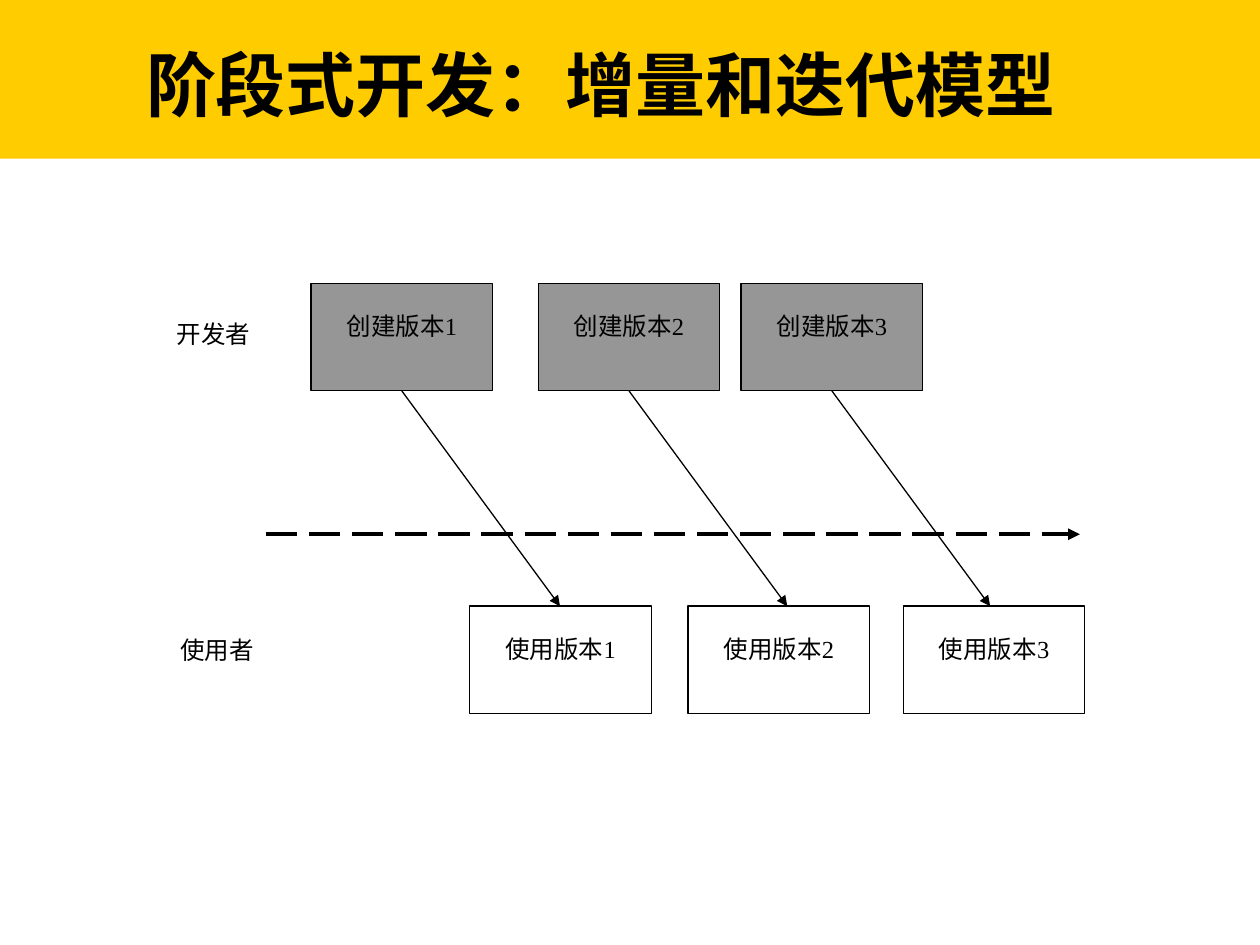
from dataclasses import dataclass

from lxml import etree
from pptx import Presentation
from pptx import util as u
from pptx.dml.color import RGBColor
from pptx.enum import dml, lang, shapes, text
from pptx.oxml.ns import qn

FONT = "Times New Roman"
BLACK, WHITE, GREY, YELLOW = "000000", "FFFFFF", "969696", "FFCC00"
BOX_WIDTH, BOX_HEIGHT = 3.66, 2.16
CREATE_TOP, USE_TOP = 5.72, 12.22
ARROW_SHIFT = 3.19


@dataclass
class Version:
    """One release; lefts are in centimetres."""
    number: int
    create_left: float
    use_left: float


@dataclass
class RoleLabel:
    name: str
    left: float
    top: float


VERSIONS = [
    Version(1, 6.27, 9.47),
    Version(2, 10.85, 13.87),
    Version(3, 14.94, 18.21),
]
ROLES = [RoleLabel("开发者", 3.56, 6.43), RoleLabel("使用者", 3.63, 12.8)]


def colour(value: str) -> RGBColor:
    return RGBColor.from_string(value)


def add_run(para, words: str, size: float, bold: bool = False) -> None:
    span = para.add_run()
    span.text = words
    span.font.name = FONT
    span.font.size = u.Pt(size)
    span.font.bold = bold
    span.font.color.rgb = colour(BLACK)
    span.font.language_id = lang.MSO_LANGUAGE_ID.SIMPLIFIED_CHINESE


def add_box(page, left: float, top: float, width: float, height: float,
            fill: str, outlined: bool = False):
    box = page.shapes.add_shape(shapes.MSO_SHAPE.RECTANGLE, u.Cm(left),
                                u.Cm(top), u.Cm(width), u.Cm(height))
    box.shadow.inherit = False
    box.fill.solid()
    box.fill.fore_color.rgb = colour(fill)
    if outlined:
        box.line.color.rgb = colour(BLACK)
        box.line.width = u.Pt(0.75)
    else:
        box.line.fill.background()
    return box


def write_in_box(box, words: str, align, top_inset: float = 0) -> None:
    frame = box.text_frame
    frame.word_wrap = True
    frame.vertical_anchor = text.MSO_ANCHOR.TOP
    frame.margin_left = frame.margin_right = frame.margin_bottom = 0
    frame.margin_top = u.Cm(top_inset)
    para = frame.paragraphs[0]
    para.alignment = align
    add_run(para, words, 14)


def add_version_box(page, words: str, left: float, top: float, fill: str) -> None:
    box = add_box(page, left, top, BOX_WIDTH, BOX_HEIGHT, fill, outlined=True)
    write_in_box(box, words, text.PP_ALIGN.CENTER, top_inset=0.56)


def add_arrow(page, start: tuple[float, float], end: tuple[float, float],
              width: float = 0.75):
    arrow = page.shapes.add_connector(
        shapes.MSO_CONNECTOR.STRAIGHT, *(u.Cm(n) for n in start + end))
    arrow.line.color.rgb = colour(BLACK)
    arrow.line.width = u.Pt(width)
    etree.SubElement(arrow.line._get_or_add_ln(), qn("a:tailEnd"), type="triangle")
    etree.SubElement(arrow._element.spPr, qn("a:effectLst"))
    return arrow


def add_title(page, words: str) -> None:
    """Fill the title placeholder and lay the yellow banner behind it."""
    title = page.shapes.title
    title.left, title.top = u.Cm(2.69), u.Cm(0.71)
    title.width, title.height = u.Cm(20.32), u.Cm(1.96)
    frame = title.text_frame
    frame.word_wrap = True
    frame.auto_size = text.MSO_AUTO_SIZE.NONE
    frame.vertical_anchor = text.MSO_ANCHOR.MIDDLE
    para = frame.paragraphs[0]
    para.alignment = text.PP_ALIGN.LEFT
    add_run(para, words, 40, bold=True)
    banner = add_box(page, 0, 0, 25.4, 3.2, YELLOW)
    title._element.addprevious(banner._element)


def main() -> None:
    deck = Presentation()
    deck.slide_width, deck.slide_height = u.Cm(25.4), u.Cm(19.05)
    page = deck.slides.add_slide(deck.slide_layouts.get_by_name("Title Only"))
    add_title(page, "阶段式开发：增量和迭代模型")

    for version in VERSIONS:
        add_version_box(page, f"创建版本{version.number}",
                        version.create_left, CREATE_TOP, GREY)
        add_version_box(page, f"使用版本{version.number}",
                        version.use_left, USE_TOP, WHITE)

    timeline = add_arrow(page, (5.36, 10.77), (21.77, 10.77), width=2.25)
    timeline.line.dash_style = dml.MSO_LINE.LONG_DASH

    for version in VERSIONS:
        middle = version.create_left + BOX_WIDTH / 2
        add_arrow(page, (middle, CREATE_TOP + BOX_HEIGHT),
                  (middle + ARROW_SHIFT, USE_TOP))

    for role in ROLES:
        label = add_box(page, role.left, role.top, 1.83, 1.45, WHITE)
        write_in_box(label, role.name, text.PP_ALIGN.JUSTIFY)

    deck.save("out.pptx")


if __name__ == "__main__":
    main()
